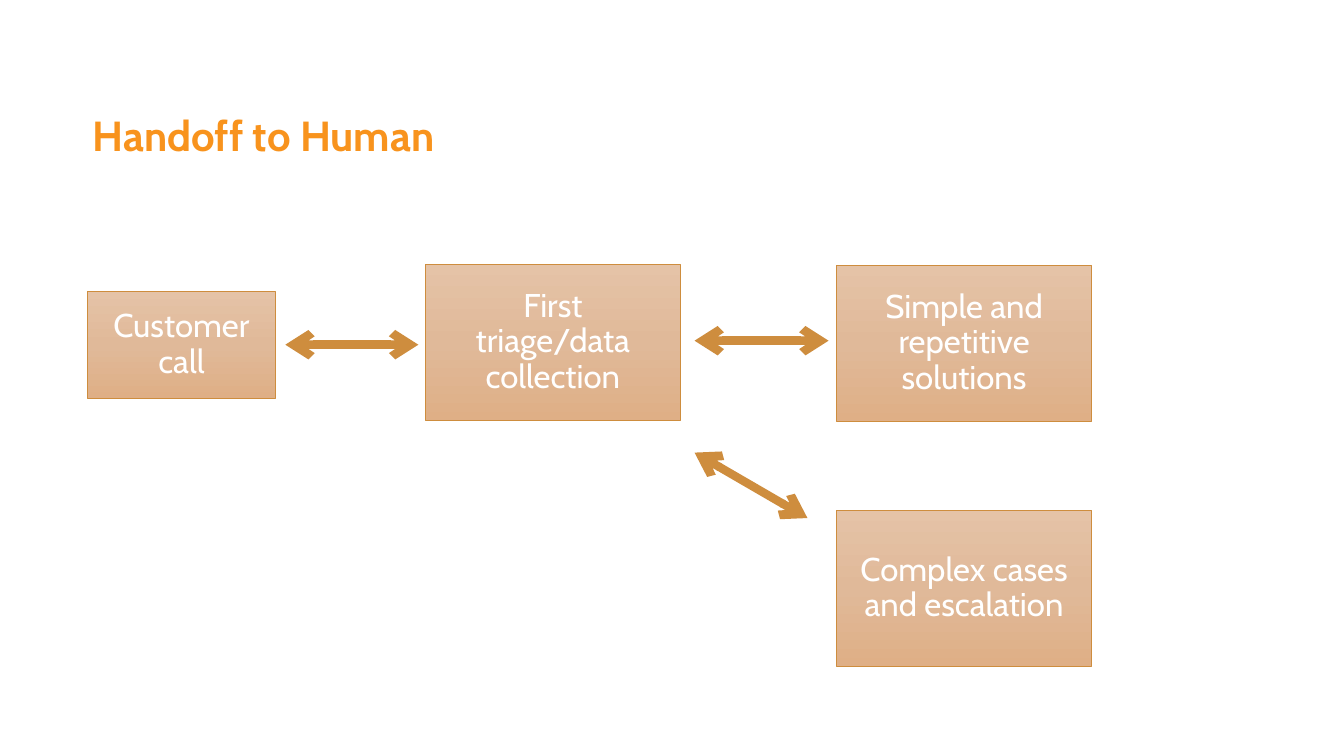
from copy import deepcopy

from lxml.etree import SubElement as Sub
from pptx import Presentation
from pptx.dml.color import RGBColor as Rgb
from pptx.enum.shapes import MSO_CONNECTOR as Link, MSO_SHAPE as Kind
from pptx.enum.text import MSO_ANCHOR as Anchor, PP_ALIGN as Align
from pptx.oxml.ns import qn
from pptx.util import Inches, Pt

HUES = {
    "title": "F8931D",
    "edge": "CE8D3E",
    "text": "FFFFFF",
    "top": "E5C3A7",
    "mid": "E0B999",
    "base": "DFAF86",
}


def hue(name):
    return Rgb.from_string(HUES[name])


def write(frame, text, size, color, bold=False, align=Align.LEFT,
          anchor=Anchor.TOP, inset=(0, 0)):
    frame.word_wrap = True
    frame.vertical_anchor = anchor
    frame.margin_left = frame.margin_right = Inches(inset[0])
    frame.margin_top = frame.margin_bottom = Inches(inset[1])
    para = frame.paragraphs[0]
    para.alignment = align
    para.line_spacing = 0.9
    run = para.add_run()
    run.text = text
    run.font.name = "Cabin"
    run.font.size = Pt(size)
    run.font.bold = bold
    run.font.color.rgb = hue(color)


class Deck:
    def __init__(self):
        self.file = Presentation()
        self.file.slide_width = Inches(13.333)
        self.file.slide_height = Inches(7.5)
        self.col = self.file.slide_width / 100
        self.row = self.file.slide_height / 100
        self.slide = self.file.slides.add_slide(self.file.slide_layouts[6])

    def grid(self, x, y):
        return round(x * self.col), round(y * self.row)

    def title(self, text, spot, size):
        box = self.slide.shapes.add_textbox(*self.grid(*spot), *self.grid(*size))
        write(box.text_frame, text, 30, "title", bold=True)

    def box(self, text, spot, size):
        box = self.slide.shapes.add_shape(
            Kind.RECTANGLE, *self.grid(*spot), *self.grid(*size))
        box.shadow.inherit = False
        box.fill.gradient()
        box.fill.gradient_angle = 270
        stops = next(box.element.iter(qn("a:gsLst")))
        stops.insert(1, deepcopy(stops[0]))
        for stop, name, place in zip(
                box.fill.gradient_stops, ("top", "mid", "base"), (0, 0.5, 1)):
            stop.color.rgb = hue(name)
            stop.position = place
        box.line.color.rgb = hue("edge")
        box.line.width = Pt(0.5)
        write(box.text_frame, text, 23.5, "text", align=Align.CENTER,
              anchor=Anchor.MIDDLE, inset=(0.2, 0.16))

    def arrow(self, start, end):
        link = self.slide.shapes.add_connector(
            Link.STRAIGHT, *self.grid(*start), *self.grid(*end))
        link.line.color.rgb = hue("edge")
        link.line.width = Pt(6)
        line = next(link.element.iter(qn("a:ln")))
        for tip in ("a:headEnd", "a:tailEnd"):
            Sub(line, qn(tip), type="arrow")
        Sub(line.getparent(), qn("a:effectLst"))


def main():
    deck = Deck()
    deck.title("Handoff to Human", (6.9, 15.2), (86.25, 9.33))

    small, large = (13.95, 14.13), (18.98, 20.67)
    right = 62.25
    deck.box("Customer call", (6.53, 38.53), small)
    deck.box("First triage/data collection", (31.65, 34.93), large)
    deck.box("Simple and repetitive solutions", (right, 35.07), large)
    deck.box("Complex cases and escalation", (right, 67.47), large)

    fork = 51.68
    deck.arrow((21.23, 45.6), (31.13, 45.6))
    deck.arrow((fork, 45.07), (61.65, 45.07))
    deck.arrow((fork, 59.87), (60.08, 68.53))
    deck.file.save("out.pptx")


if __name__ == "__main__":
    main()
